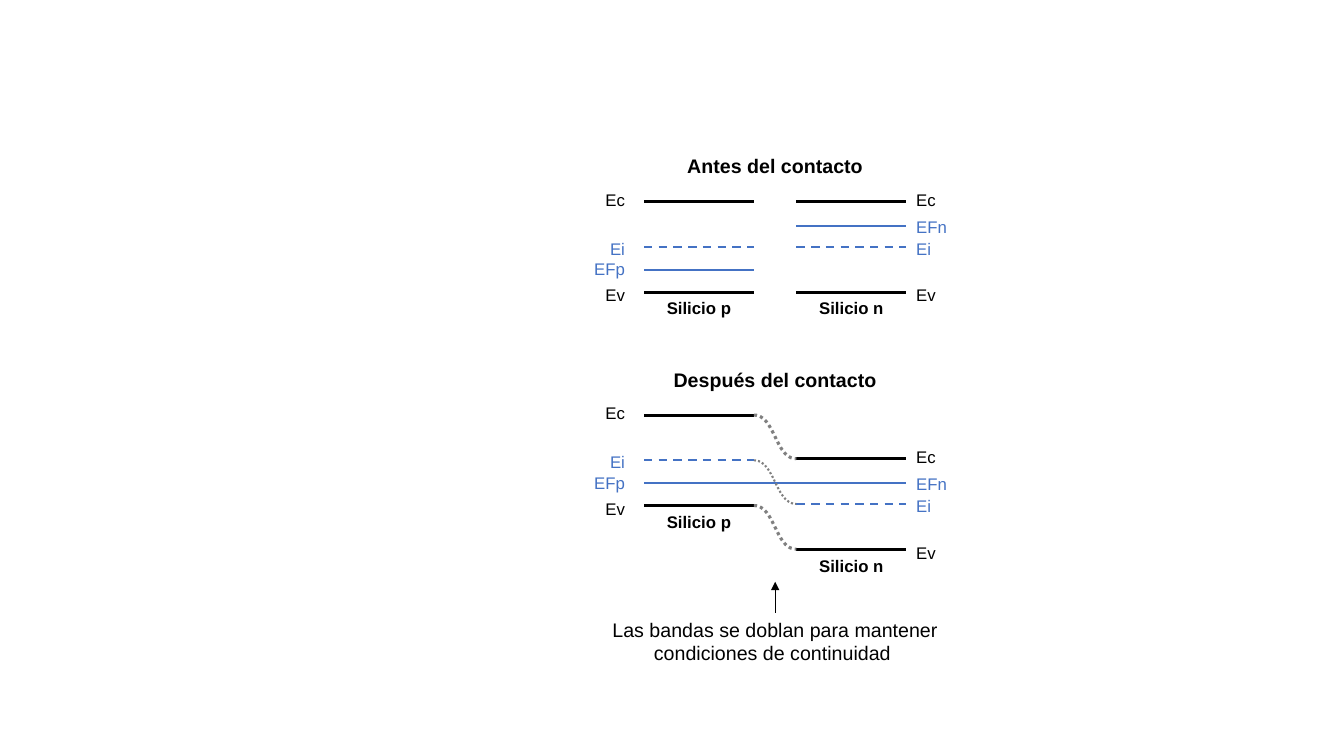
"""Energy bands of a p-n junction before and after contact."""
from dataclasses import dataclass

from lxml.etree import SubElement
from pptx import Presentation
from pptx.dml.color import RGBColor
from pptx.enum.dml import MSO_LINE
from pptx.enum.shapes import MSO_CONNECTOR
from pptx.enum.text import MSO_AUTO_SIZE, PP_ALIGN
from pptx.oxml.ns import qn
from pptx.util import Cm, Pt


@dataclass(frozen=True)
class Theme:
    font: str = "Arial"
    ink: RGBColor = RGBColor(0x00, 0x00, 0x00)
    blue: RGBColor = RGBColor(0x44, 0x72, 0xC4)
    gray: RGBColor = RGBColor(0x80, 0x80, 0x80)
    heading: Pt = Pt(14)
    label: Pt = Pt(12)
    band: Pt = Pt(2.25)
    level: Pt = Pt(1.5)
    arrow: Pt = Pt(0.5)


theme = Theme()


def write(text, *, on, left, top, width, height=0.77, size=theme.label,
          color=theme.ink, bold=False, align=PP_ALIGN.CENTER, wrap=False):
    box = on.add_textbox(Cm(left), Cm(top), Cm(width), Cm(height))
    frame = box.text_frame
    frame.word_wrap = wrap
    frame.auto_size = MSO_AUTO_SIZE.SHAPE_TO_FIT_TEXT
    paragraph = frame.paragraphs[0]
    paragraph.alignment = align
    run = paragraph.add_run()
    run.text = text
    run.font.name = theme.font
    run.font.size = size
    run.font.bold = bold
    run.font.color.rgb = color
    return box


def draw_line(on, x1, y1, x2, y2, color, weight, dash=None):
    line = on.add_connector(MSO_CONNECTOR.STRAIGHT, Cm(x1), Cm(y1), Cm(x2), Cm(y2))
    line.line.color.rgb = color
    line.line.width = weight
    if dash:
        line.line.dash_style = dash
    SubElement(line._element.spPr, qn("a:effectLst"))
    return line


presentation = Presentation()
presentation.slide_width = Cm(33.87)
presentation.slide_height = Cm(19.05)
slide = presentation.slides.add_slide(presentation.slide_layouts[6])

P_LEFT, N_LEFT, BAND_WIDTH = 16.23, 20.07, 2.77
P_RIGHT, N_RIGHT = P_LEFT + BAND_WIDTH, N_LEFT + BAND_WIDTH
P_LABEL_RIGHT = 16.0
CENTER = (P_LEFT + N_RIGHT) / 2
HEADING_RISE = 1.32
MATERIAL_DROP = 2.31
STEPS = 24

# name: line offset, label offset, label width, color, weight, dash
BANDS = {
    "Ec": (0, -0.43, 1.02, theme.ink, theme.band, None),
    "Ei": (1.14, 0.81, 0.89, theme.blue, theme.level, MSO_LINE.DASH),
    "Ev": (2.28, 1.98, 1.02, theme.ink, theme.band, None),
}
FERMI_P = {"EFp": (1.73, 1.32, 1.3, theme.blue, theme.level, None)}
FERMI_N = {"EFn": (0.61, 0.25, 1.3, theme.blue, theme.level, None)}

before = slide.shapes
after = slide.shapes.add_group_shape().shapes

for diagram, heading, heading_width, p_top, n_top in (
    (before, "Antes del contacto", 4.95, 5.08, 5.08),
    (after, "Después del contacto", 5.64, 10.46, 11.56),
):
    joined = diagram is after
    write(heading, on=diagram, left=CENTER - heading_width / 2,
          top=p_top - HEADING_RISE, width=heading_width, height=0.86,
          size=theme.heading, bold=True)

    for material, levels, band_left, band_top in (
        ("Silicio p", BANDS | FERMI_P, P_LEFT, p_top),
        ("Silicio n", BANDS | FERMI_N, N_LEFT, n_top),
    ):
        p_side = band_left == P_LEFT
        for name, (drop, label_drop, width, color, weight, dash) in levels.items():
            if not (joined and name in FERMI_P | FERMI_N):
                draw_line(diagram, band_left, band_top + drop,
                          band_left + BAND_WIDTH, band_top + drop, color, weight, dash)
            write(name, on=diagram, left=P_LABEL_RIGHT - width if p_side else N_RIGHT,
                  top=band_top + label_drop, width=width, color=color,
                  align=PP_ALIGN.RIGHT if p_side else PP_ALIGN.LEFT)
        write(material, on=diagram, left=band_left + BAND_WIDTH / 2 - 1.08,
              top=band_top + MATERIAL_DROP, width=2.16, bold=True)

    if joined:
        fermi_y = n_top + FERMI_N["EFn"][0]
        draw_line(diagram, P_LEFT, fermi_y, N_RIGHT, fermi_y, theme.blue, theme.level)
        for drop, _, _, _, weight, _ in BANDS.values():
            bend_points = []
            for step in range(STEPS + 1):
                t = step / STEPS
                across = 1.5 * t * (1 - t) + t ** 3
                down = t * t * (3 - 2 * t)
                bend_points.append((Cm(P_RIGHT + (N_LEFT - P_RIGHT) * across),
                                    Cm(p_top + drop + (n_top - p_top) * down)))
            builder = diagram.build_freeform(*bend_points[0])
            builder.add_line_segments(bend_points[1:], close=False)
            bend = builder.convert_to_shape()
            bend.shadow.inherit = False
            bend.fill.background()
            bend.line.color.rgb = theme.gray
            bend.line.width = weight
            bend.line.dash_style = MSO_LINE.ROUND_DOT

explanation = write("Las bandas se doblan para mantener condiciones de continuidad ",
                    on=slide.shapes, left=CENTER - 4.45, top=15.44, width=8.9,
                    height=1.45, size=theme.heading, wrap=True)
pointer = draw_line(slide.shapes, CENTER, 15.44, CENTER, 14.66, theme.ink, theme.arrow)
pointer.begin_connect(explanation, 0)
SubElement(pointer.line._get_or_add_ln(), qn("a:tailEnd"), type="triangle")

presentation.save("out.pptx")
